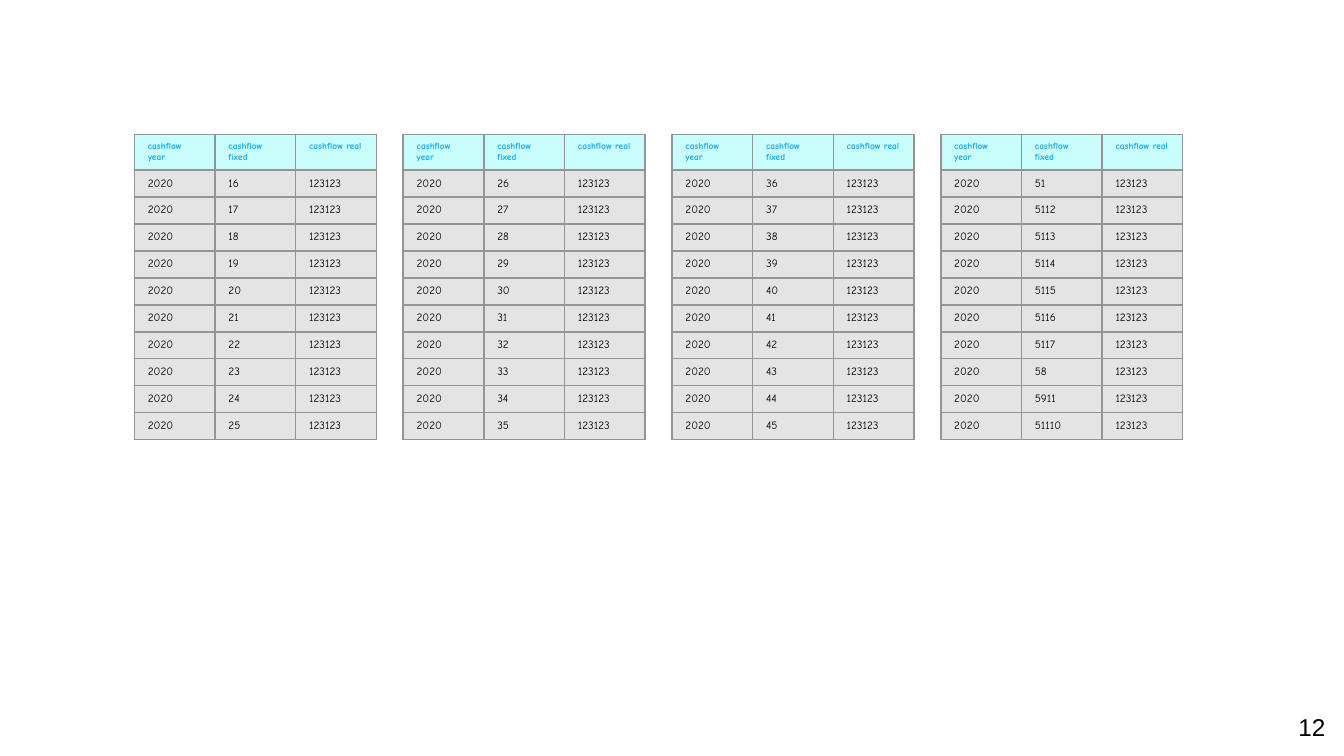
from dataclasses import dataclass

from lxml.etree import SubElement
from pptx import Presentation
from pptx.dml.color import RGBColor
from pptx.enum.text import MSO_VERTICAL_ANCHOR as Anchor, PP_PARAGRAPH_ALIGNMENT as Align
from pptx.oxml.ns import qn
from pptx.util import Pt

EMU_PER_PX = 4572  # 200 px to the inch


@dataclass(frozen=True)
class Theme:
    table_font: str = "Comic Neue"
    page_font: str = "Arial"
    header_size: int = 5
    body_size: int = 6
    page_size: int = 13
    header_text: str = "13AAF6"
    text: str = "000000"
    header_fill: str = "C8FDFB"
    body_fill: str = "E4E4E4"
    border: str = "949595"
    border_width: float = 0.94


THEME = Theme()
HEADER_FORMAT = {"name": THEME.table_font, "size": Pt(THEME.header_size), "bold": True}
BODY_FORMAT = {"name": THEME.table_font, "size": Pt(THEME.body_size), "bold": False}
PAGE_FORMAT = {"name": THEME.page_font, "size": Pt(THEME.page_size)}

# Table content: only the fixed cashflow differs between rows
HEADINGS = ["cashflow year", "cashflow fixed", "cashflow real"]
YEAR, REAL_CASHFLOW = "2020", "123123"
FIXED_CASHFLOWS = [
    range(16, 26),
    range(26, 36),
    range(36, 46),
    [51, 5112, 5113, 5114, 5115, 5116, 5117, 58, 5911, 51110],
]

# Table grid
TABLE_LEFT, TABLE_TOP, TABLE_STEP = 200, 200, 400
COLUMN_WIDTH = 120
ROW_HEIGHT = 1  # rows grow to fit their text
CELL_MARGINS = {"margin_left": 20, "margin_right": 20, "margin_top": 10, "margin_bottom": 10}


def px(length):
    return length * EMU_PER_PX


def write(paragraph, wording, font_format, color):
    run = paragraph.add_run()
    run.text = wording
    for attribute, value in font_format.items():
        setattr(run.font, attribute, value)
    run.font.color.rgb = RGBColor.from_string(color)


def add_borders(cell):
    properties = cell._tc.get_or_add_tcPr()
    for position, side in enumerate(("a:lnL", "a:lnR", "a:lnT", "a:lnB")):
        line = properties.makeelement(qn(side), {"w": str(Pt(THEME.border_width))})
        fill = SubElement(line, qn("a:solidFill"))
        SubElement(fill, qn("a:srgbClr"), val=THEME.border)
        properties.insert(position, line)  # borders come before the fill


def format_cell(cell, wording, font_format, color, fill):
    for attribute, margin in CELL_MARGINS.items():
        setattr(cell, attribute, px(margin))
    cell.fill.solid()
    cell.fill.fore_color.rgb = RGBColor.from_string(fill)
    add_borders(cell)
    write(cell.text_frame.paragraphs[0], wording, font_format, color)


def add_cashflow_table(slide, left, fixed_cashflows):
    records = [HEADINGS] + [[YEAR, str(fixed), REAL_CASHFLOW] for fixed in fixed_cashflows]
    cashflow = slide.shapes.add_table(
        len(records), len(HEADINGS), px(left), px(TABLE_TOP),
        px(COLUMN_WIDTH * len(HEADINGS)), px(ROW_HEIGHT * len(records)),
    ).table
    for column in cashflow.columns:
        column.width = px(COLUMN_WIDTH)
    for row_index, record in enumerate(records):
        cashflow.rows[row_index].height = px(ROW_HEIGHT)
        if row_index == 0:
            style = (HEADER_FORMAT, THEME.header_text, THEME.header_fill)
        else:
            style = (BODY_FORMAT, THEME.text, THEME.body_fill)
        for column_index, wording in enumerate(record):
            format_cell(cashflow.cell(row_index, column_index), wording, *style)


def add_page_number(slide, number):
    frame = slide.shapes.add_textbox(px(1872), px(1038), px(120), px(86)).text_frame
    frame_format = {
        "word_wrap": True, "vertical_anchor": Anchor.MIDDLE,
        "margin_left": px(20), "margin_right": px(20),
        "margin_top": px(20), "margin_bottom": px(20),
    }
    for attribute, value in frame_format.items():
        setattr(frame, attribute, value)
    frame.paragraphs[0].alignment = Align.RIGHT
    write(frame.paragraphs[0], number, PAGE_FORMAT, THEME.text)


def main():
    deck = Presentation()
    deck.slide_width, deck.slide_height = px(2000), px(1125)
    slide = deck.slides.add_slide(deck.slide_layouts[6])

    add_page_number(slide, "12")

    # Four equal tables side by side
    for index, fixed_cashflows in enumerate(FIXED_CASHFLOWS):
        add_cashflow_table(slide, TABLE_LEFT + index * TABLE_STEP, fixed_cashflows)

    deck.save("out.pptx")


if __name__ == "__main__":
    main()
